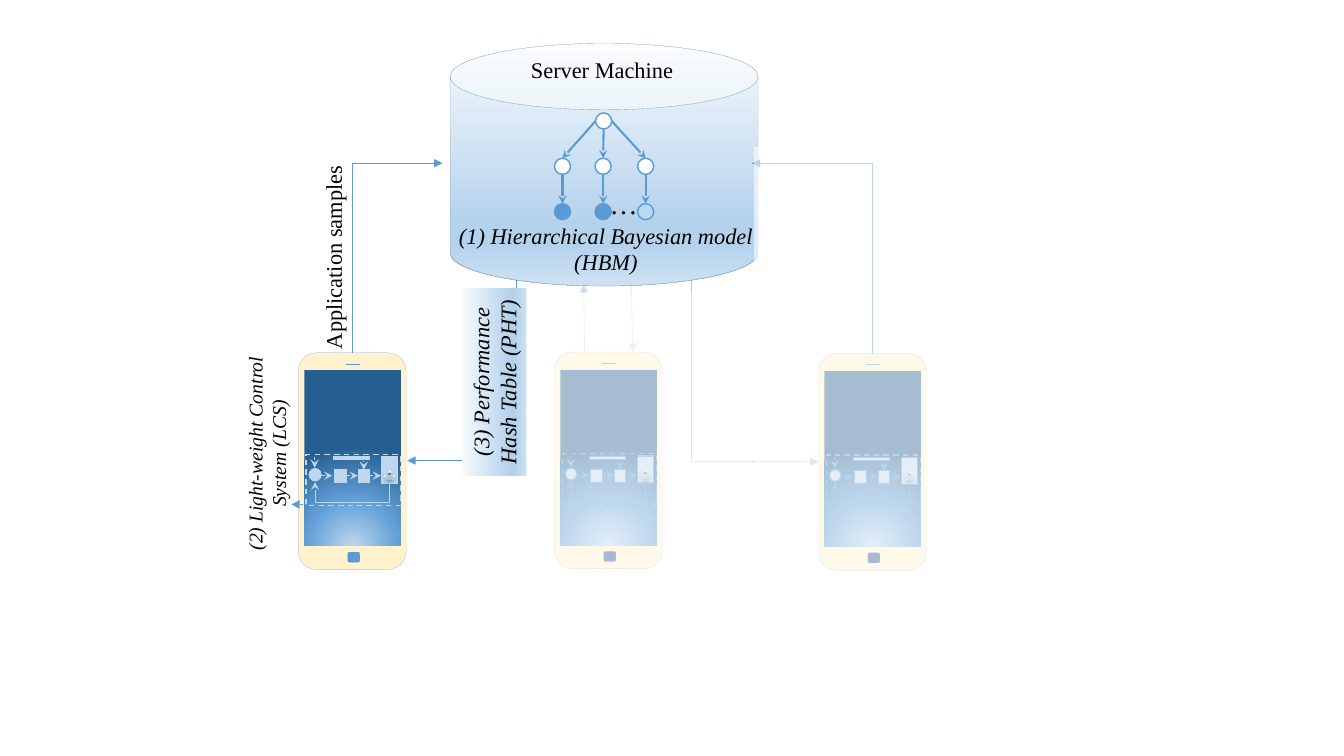
from dataclasses import dataclass

from lxml.etree import SubElement
from pptx import Presentation
from pptx.dml.color import RGBColor
from pptx.enum.dml import MSO_LINE
from pptx.enum.shapes import MSO_CONNECTOR, MSO_SHAPE
from pptx.enum.text import MSO_ANCHOR, PP_ALIGN
from pptx.oxml.ns import qn
from pptx.util import Pt


@dataclass(frozen=True)
class Theme:
    """Colours, gradients, font and type sizes of the slide."""
    font: str = "Times New Roman"
    label: int = 16
    small: int = 14
    dots: int = 20
    black: str = "000000"
    white: str = "FFFFFF"
    blue: str = "5B9BD5"
    pale: str = "BDD7EE"
    navy: str = "2F5597"
    edge: str = "43739E"
    cream: str = "FFF2CC"
    server: tuple = ((0, "F7FAFD"), (74, "B5D2EC"), (83, "B5D2EC"), (100, "CEE1F2"))
    screen: tuple = ((0, "BDD7EE"), (46, "63A0D7"), (100, "255E91"))
    gauge: tuple = ((0, "87ABAE"), (80, "AFDEE2"), (100, "AFE0E4"))


THEME = Theme()

# Phones: left, top, button fill, button line, line colour of the control system
PHONES = {
    "middle": (396, 251.5, THEME.navy, THEME.edge, THEME.blue),
    "right": (584.6, 252.5, THEME.navy, THEME.edge, THEME.blue),
    "left": (213.1, 252, THEME.blue, THEME.blue, THEME.pale),
}

# Control system, measured from the phone's top left corner
CONTROL_BLOCKS = [
    (MSO_SHAPE.RECTANGLE, (25.9, 83.5, 8.2, 9.4), 0.5),
    (MSO_SHAPE.OVAL, (7.9, 82.8, 8.2, 8.6), 1),
    (MSO_SHAPE.RECTANGLE, (42.7, 83.5, 8.2, 9.4), 0.5),
    (MSO_SHAPE.RECTANGLE, (59.4, 74.2, 11.5, 19.4), 1),
    (MSO_SHAPE.RECTANGLE, (25.2, 74.2, 25.2, 2.2), 0.5),
]
CONTROL_ARROWS = [
    ((46.8, 77), (46.8, 83.5)), ((11.7, 74.2), (11.7, 82.1)),
    ((15.8, 87.8), (24.3, 87.8)), ((34.6, 87.8), (42.5, 87.8)),
    ((51.1, 87.8), (59, 87.8)),
]
FEEDBACK = ((65, 93.6), (12, 92.2), 107.2)
GAUGE_TICKS = [
    (64.8, 84.2, 270), (67.7, 87.1, 0), (61.2, 87.1, 0), (61.9, 85.7, 37.7),
    (67, 85.7, 317.8), (62.6, 89.3, 319.8), (67, 89.3, 42),
]

# Hierarchical model: node centres
ROOT = (431.2, 86.4)
HIDDEN_Y, LEAF_Y, NODE = 118.8, 151.2, 11.5
BRANCHES = [(401.8, -5.7, THEME.blue), (430.8, 0, THEME.blue), (461.2, 5.7, THEME.pale)]

MIDDLE_LINKS = [((417.6, 251.3), (416.9, 203)), ((450.7, 203), (452.2, 251.3))]
LINKS = [
    ((252, 252), (316.1, 116.6), None),
    ((493.9, 200.2), (584.6, 329.8), 53),
    ((368.6, 200.2), (290.9, 329), None),
]
RIGHT_LINK = ((623.5, 252.7), (537.1, 116.6))


def set_alpha(parent, alpha):
    """Give the solid fill inside an element an opacity in percent."""
    if alpha is not None:
        color = parent.find(qn("a:solidFill"))[0]
        SubElement(color, qn("a:alpha")).set("val", str(alpha * 1000))


def set_line(shape, color, width, alpha=None, dash=False, head=None):
    """Format an outline or connector."""
    if color is None:
        shape.line.fill.background()
        return
    shape.line.color.rgb = RGBColor.from_string(color)
    shape.line.width = Pt(width)
    if dash:
        shape.line.dash_style = MSO_LINE.DASH
    line = shape.element.spPr.find(qn("a:ln"))
    set_alpha(line, alpha)
    if head:
        SubElement(line, qn("a:tailEnd")).set("type", head)


def set_gradient(shape, stops, angle):
    """Fill with several stops; an angle of None means a circular gradient."""
    properties = shape.element.spPr
    gradient = SubElement(properties, qn("a:gradFill"), rotWithShape="1")
    stop_list = SubElement(gradient, qn("a:gsLst"))
    for position, color in stops:
        stop = SubElement(stop_list, qn("a:gs"), pos=str(position * 1000))
        SubElement(stop, qn("a:srgbClr"), val=color)
    if angle is None:
        circle = SubElement(gradient, qn("a:path"), path="circle")
        SubElement(circle, qn("a:fillToRect"), l="50000", t="130000", r="50000", b="-30000")
    else:
        SubElement(gradient, qn("a:lin"), ang=str(angle * 60000), scaled="0")
    properties.find(qn("a:prstGeom")).addnext(gradient)


def add_shadow(shape, alpha=38, distance=1.6):
    """Put a soft shadow below a shape."""
    effects = shape.element.spPr.find(qn("a:effectLst"))
    shadow = SubElement(effects, qn("a:outerShdw"), blurRad=str(Pt(3.1)),
                        dist=str(Pt(distance)), dir="5400000", rotWithShape="0")
    color = SubElement(shadow, qn("a:srgbClr"), val=THEME.black)
    SubElement(color, qn("a:alpha"), val=str(alpha * 1000))


def add_block(shapes, kind, box, fill=None, line=None, width=0.1, alpha=None,
              line_alpha=None, dash=False, angle=90, rotation=0):
    """Add a preset shape; fill is a colour, gradient stops or None."""
    shape = shapes.add_shape(kind, *map(Pt, box))
    shape.shadow.inherit = False
    shape.rotation = rotation
    if fill is None:
        shape.fill.background()
    elif isinstance(fill, tuple):
        set_gradient(shape, fill, angle)
    else:
        shape.fill.solid()
        shape.fill.fore_color.rgb = RGBColor.from_string(fill)
        set_alpha(shape.element.spPr, alpha)
    set_line(shape, line, width, line_alpha, dash)
    return shape


def add_link(shapes, start, end, color=THEME.blue, width=0.5, kind=MSO_CONNECTOR.STRAIGHT,
             **line_format):
    """Add a connector without the default shadow."""
    link = shapes.add_connector(kind, *map(Pt, (*start, *end)))
    set_line(link, color, width, **line_format)
    SubElement(link.element.spPr, qn("a:effectLst"))
    return link


def add_elbow(shapes, start, end, turn_y=None, **line_format):
    """Add an elbow that leaves vertically, as a horizontal one turned by 90 degrees."""
    (x1, y1), (x2, y2) = start, end
    center_x, center_y = (x1 + x2) / 2, (y1 + y2) / 2
    half_x, half_y = (y2 - y1) / 2, (x1 - x2) / 2
    link = add_link(shapes, (center_x - half_x, center_y - half_y),
                    (center_x + half_x, center_y + half_y),
                    kind=MSO_CONNECTOR.ELBOW, **line_format)
    properties = link.element.spPr
    properties.find(qn("a:xfrm")).set("rot", "5400000")
    geometry = properties.find(qn("a:prstGeom"))
    if turn_y is None:
        geometry.set("prst", "bentConnector2")
    else:
        ratio = round((turn_y - y1) / (y2 - y1) * 100000)
        SubElement(geometry.find(qn("a:avLst")), qn("a:gd"), name="adj1", fmla=f"val {ratio}")


def write_text(shape, text, size=THEME.label, italic=False, align=PP_ALIGN.CENTER,
               anchor=MSO_ANCHOR.TOP, wrap=True):
    """Write one formatted paragraph into a shape."""
    frame = shape.text_frame
    frame.word_wrap = wrap
    frame.vertical_anchor = anchor
    paragraph = frame.paragraphs[0]
    paragraph.alignment = align
    run = paragraph.add_run()
    run.text = text
    run.font.name, run.font.size, run.font.italic = THEME.font, Pt(size), italic
    run.font.color.rgb = RGBColor.from_string(THEME.black)


def add_label(shapes, box, text, rotation=0, **text_format):
    """Add a text box, turned if wanted."""
    label = shapes.add_textbox(*map(Pt, box))
    label.rotation = rotation
    write_text(label, text, **text_format)


def add_phone(shapes, left, top, button_fill, button_line):
    """Draw a phone: body, screen, button and speaker."""
    rounded = MSO_SHAPE.ROUNDED_RECTANGLE
    add_block(shapes, rounded, (left, top, 77, 154.8), THEME.cream, THEME.edge, line_alpha=62)
    add_block(shapes, MSO_SHAPE.RECTANGLE, (left + 4.3, top + 12.6, 69, 125.3),
              THEME.screen, angle=None)
    add_block(shapes, rounded, (left + 35.3, top + 142.4, 8.6, 7.2), button_fill, button_line)
    add_link(shapes, (left + 34, top + 8), (left + 44, top + 8))


def add_control_system(shapes, left, top, color):
    """Draw the control loop on a phone's screen."""
    def place(x, y, *size):
        return (left + x, top + y, *size)

    for kind, box, width in CONTROL_BLOCKS:
        add_block(shapes, kind, place(*box), THEME.pale, color, width)
    start, end, turn = FEEDBACK
    add_elbow(shapes, place(*start), place(*end), top + turn, color=color, head="stealth")
    gauge = add_block(shapes, MSO_SHAPE.OVAL, place(62.6, 85.7, 5, 5), THEME.gauge, angle=270)
    add_shadow(gauge, 35, 1.8)
    add_shadow(add_link(shapes, place(65, 85.7), place(65, 87.1), THEME.black, 2))
    for x, y, rotation in GAUGE_TICKS:
        add_shadow(add_block(shapes, MSO_SHAPE.MATH_MINUS, place(x, y, 0.7, 1.4), THEME.black,
                             THEME.white, 0.25, rotation=rotation))
    for start, end in CONTROL_ARROWS:
        add_link(shapes, place(*start), place(*end), color, head="stealth")
    add_block(shapes, MSO_SHAPE.RECTANGLE, place(5.6, 72.5, 67.3, 36.7), None, color, 1, dash=True)
    add_block(shapes, MSO_SHAPE.RECTANGLE, place(61.9, 85, 6.5, 5.8), THEME.pale, alpha=55)


def add_model(shapes):
    """Draw the tree of the hierarchical model."""
    def add_node(x, y, fill):
        add_block(shapes, MSO_SHAPE.OVAL, (x - NODE / 2, y - NODE / 2, NODE, NODE),
                  fill, THEME.blue, 1)

    radius = NODE / 2
    for x, offset, leaf_fill in BRANCHES:
        add_node(x, HIDDEN_Y, THEME.white)
        add_link(shapes, (x, HIDDEN_Y + radius), (x, LEAF_Y - radius), width=1.5, head="stealth")
        add_node(x, LEAF_Y, leaf_fill)
        start_y = ROOT[1] if offset else ROOT[1] + radius
        add_link(shapes, (ROOT[0] + offset, start_y), (x, HIDDEN_Y - radius),
                 width=1.5, head="stealth")
    add_label(shapes, (428.4, 129.6, 30, 31.7), "…", size=THEME.dots, align=PP_ALIGN.LEFT, wrap=False)
    add_node(*ROOT, THEME.white)


presentation = Presentation()
presentation.slide_width, presentation.slide_height = Pt(960), Pt(540)
slide = presentation.slides.add_slide(presentation.slide_layouts[6])
shapes = slide.shapes

for left, top, button_fill, button_line, _ in PHONES.values():
    add_phone(shapes.add_group_shape().shapes, left, top, button_fill, button_line)
for start, end in MIDDLE_LINKS:
    add_link(shapes, start, end, alpha=30, head="triangle")

server = add_block(shapes, MSO_SHAPE.CAN, (321.5, 31, 220, 173.3), THEME.server, THEME.edge)
server.adjustments[0] = 0.274
add_model(shapes.add_group_shape().shapes)
add_label(shapes, (144.7, 170.6, 186.5, 26.6), "Application samples", rotation=270)
add_label(shapes, (314, 154.8, 237.6, 46), "(1) Hierarchical Bayesian model (HBM)", italic=True)

for left, top, _, _, color in PHONES.values():
    add_control_system(shapes.add_group_shape().shapes, left, top, color)
for start, end, alpha in LINKS:
    add_elbow(shapes, start, end, alpha=alpha, head="triangle")

hash_table = add_block(shapes, MSO_SHAPE.RECTANGLE, (285.8, 249.8, 134.6, 46), THEME.server,
                       rotation=270)
write_text(hash_table, "(3) Performance Hash Table (PHT)", italic=True)
add_label(shapes, (105.1, 310.3, 170.6, 27.4), "(2) Light-weight Control System (LCS)",
          rotation=270, size=THEME.small, italic=True, anchor=MSO_ANCHOR.MIDDLE)
add_link(shapes, (252, 360.5), (208.1, 360.3), dash=True, head="triangle")

add_block(shapes, MSO_SHAPE.RECTANGLE, (386, 209.5, 150.5, 206), THEME.white, alpha=59)
add_label(shapes, (372.2, 36.7, 117.4, 26.6), "Server Machine", align=PP_ALIGN.LEFT, wrap=False)
add_elbow(shapes, *RIGHT_LINK, head="triangle")
add_block(shapes, MSO_SHAPE.RECTANGLE, (538.6, 105.1, 132.5, 310.3), THEME.white, alpha=59)

presentation.save("out.pptx")
